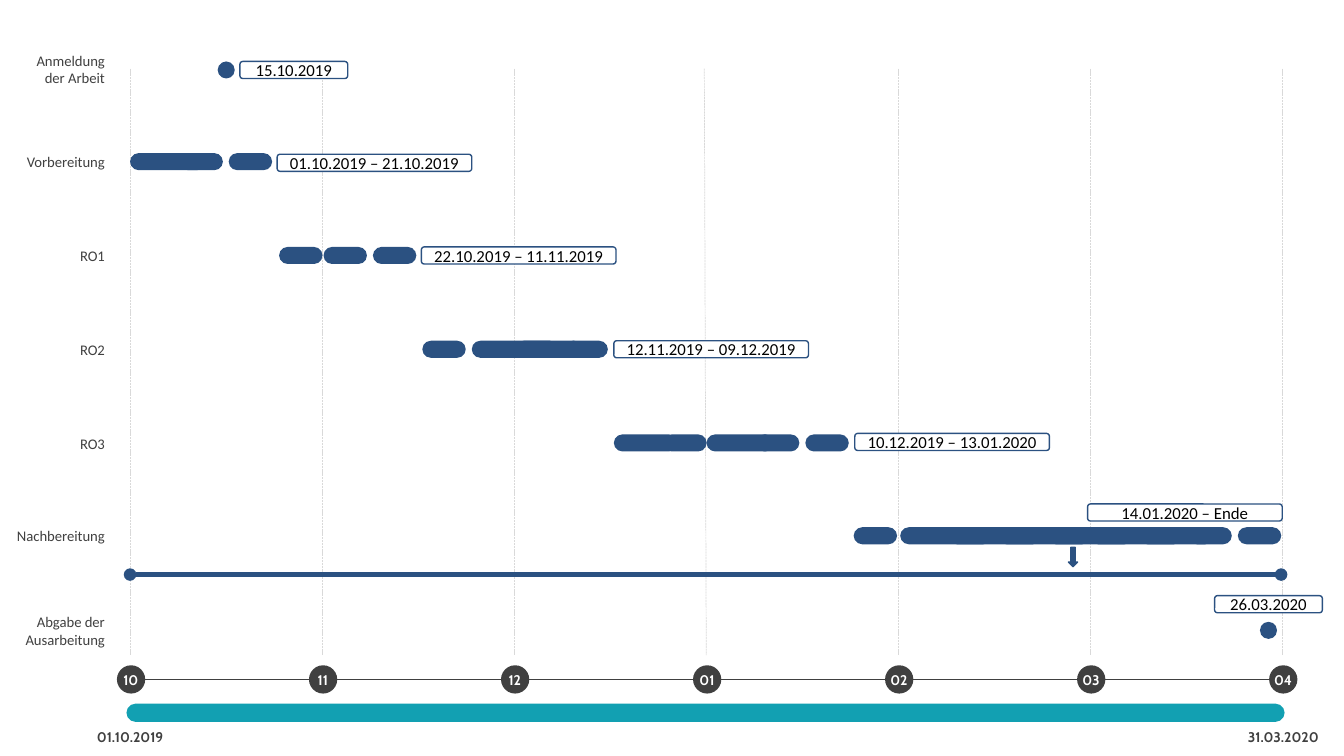
from lxml import etree
from pptx import Presentation
from pptx.dml.color import RGBColor
from pptx.enum import dml, shapes, text
from pptx.oxml import ns
from pptx.util import Pt

NAVY = RGBColor(0x2B, 0x51, 0x81)
TEAL = RGBColor(0x12, 0xA0, 0xB2)
DARK = RGBColor(0x40, 0x40, 0x40)
GRID = RGBColor(0xD9, 0xD9, 0xD9)
WHITE = RGBColor(0xFF, 0xFF, 0xFF)
BLACK = RGBColor(0, 0, 0)

SHAPE = shapes.MSO_SHAPE
ALIGN = text.PP_ALIGN
ANCHOR = text.MSO_ANCHOR

prs = Presentation()
prs.slide_width, prs.slide_height = Pt(960), Pt(540)
s = prs.slides.add_slide(prs.slide_layouts[6])


def add_item(content, x, y, w, h, kind=None, fill=None, line=None, adj=None, size=10.5,
             font="Calibri", color=DARK, bold=False, align=ALIGN.CENTER, anchor=ANCHOR.TOP):
    box = [Pt(v) for v in (x, y, w, h)]
    if kind is None:
        sp = s.shapes.add_textbox(*box)
    else:
        sp = s.shapes.add_shape(kind, *box)
        sp.shadow.inherit = False
        sp.fill.solid()
        sp.fill.fore_color.rgb = fill
        if line is None:
            sp.line.fill.background()
        else:
            sp.line.color.rgb = line
            sp.line.width = Pt(1)
        if adj is not None:
            sp.adjustments[0] = adj
    if content:
        tf = sp.text_frame
        tf.word_wrap = True
        tf.vertical_anchor = anchor
        if kind is None:
            tf.margin_left = tf.margin_right = tf.margin_top = tf.margin_bottom = 0
        p = tf.paragraphs[0]
        p.alignment = align
        r = p.add_run()
        r.text = content
        r.font.size = Pt(size)
        r.font.name = font
        r.font.bold = bold
        r.font.color.rgb = color


def add_line(x1, y1, x2, y2, color, width):
    cx = s.shapes.add_connector(shapes.MSO_CONNECTOR.STRAIGHT, Pt(x1), Pt(y1), Pt(x2), Pt(y2))
    cx.line.color.rgb = color
    cx.line.width = Pt(width)
    etree.SubElement(cx._element.spPr, ns.qn("a:effectLst"))
    return cx


add_line(95.8, 485.3, 917.3, 485.3, DARK, 1.25)
add_item(None, 90.3, 502.6, 827.3, 13, SHAPE.ROUNDED_RECTANGLE, TEAL, adj=0.5)
for date, x in (("01.10.2019", 64.8), ("31.03.2020", 888.5)):
    add_item(date, x, 520.6, 56.2, 18.7, size=10, font="Cabin", bold=True)

MONTH = 137.17
for i, month in enumerate(("10", "11", "12", "01", "02", "03", "04")):
    x = 83.5 + i * MONTH
    grid_x = 93 + i * MONTH
    lean = 1.4 if month == "01" else 0
    cx = add_line(grid_x - lean, 49, grid_x, 468, GRID, 0.5)
    cx.line.dash_style = dml.MSO_LINE.SQUARE_DOT
    add_item(None, x, 475.2, 20.2, 20.2, SHAPE.OVAL, DARK)
    add_item(month, x + 1.3, 480.2, 17.3, 11.5, size=10, font="Cabin", color=WHITE,
             bold=True, anchor=ANCHOR.MIDDLE)

BAR_H = 12.2
WEEK = 31
ROWS = [
    ("Anmeldung der Arbeit", 36.7, 43.9, [(155.5, BAR_H)]),
    ("Vorbereitung", 109.4, 109.4, [(92.9, 54), (128.2, WEEK), (163.4, WEEK)]),
    ("RO1", 176.4, 176.4, [(199.4, WEEK), (231.1, WEEK), (266.4, WEEK)]),
    ("RO2", 243.4, 243.4, [(301.7, WEEK), (337, 79.2), (367.9, WEEK), (403.2, WEEK)]),
    ("RO3", 310.3, 310.3, [(438.5, 45.4), (473.8, WEEK), (504.7, 48.2), (540, WEEK),
                           (575.3, WEEK)]),
    ("Nachbereitung", 376.6, 376.6, [(609.8, WEEK), (643, 223.9), (677.5, WEEK),
                                     (712.8, WEEK), (748.1, WEEK), (778.3, WEEK),
                                     (813.6, WEEK), (848.9, WEEK), (884.2, WEEK)]),
    ("Abgabe der Ausarbeitung", 437.8, 444.2, [(900, BAR_H)]),
]
for label, label_y, bar_y, bars in ROWS:
    label_w = 68.4 if label == "Nachbereitung" else 61.2
    label_h = 25.2 if " " in label else 13
    add_item(label, 74.9 - label_w, label_y, label_w, label_h, align=ALIGN.RIGHT)
    for x, w in bars:
        add_item(None, x, bar_y, w, BAR_H, SHAPE.ROUNDED_RECTANGLE, NAVY, adj=0.5)

cx = add_line(92.9, 410.4, 915.1, 410.4, NAVY, 3)
for end in ("a:headEnd", "a:tailEnd"):
    etree.SubElement(cx.line._get_or_add_ln(), ns.qn(end), type="oval")
add_item(None, 763.2, 391, 6.5, 13.7, SHAPE.DOWN_ARROW, NAVY, NAVY)

TAGS = [
    ("15.10.2019", 171.4, 43.9, 77),
    ("01.10.2019 – 21.10.2019", 198, 110.2, 139),
    ("22.10.2019 – 11.11.2019", 301, 176.4, 139),
    ("12.11.2019 – 09.12.2019", 438.5, 243.4, 139),
    ("10.12.2019 – 13.01.2020", 610.6, 309.6, 139),
    ("14.01.2020 – Ende", 776.9, 360, 139),
    ("26.03.2020", 867.6, 425.5, 77),
]
for dates, x, y, w in TAGS:
    add_item(dates, x, y, w, BAR_H, SHAPE.ROUNDED_RECTANGLE, WHITE, NAVY, size=12,
             color=BLACK, anchor=ANCHOR.MIDDLE)

prs.save("out.pptx")
